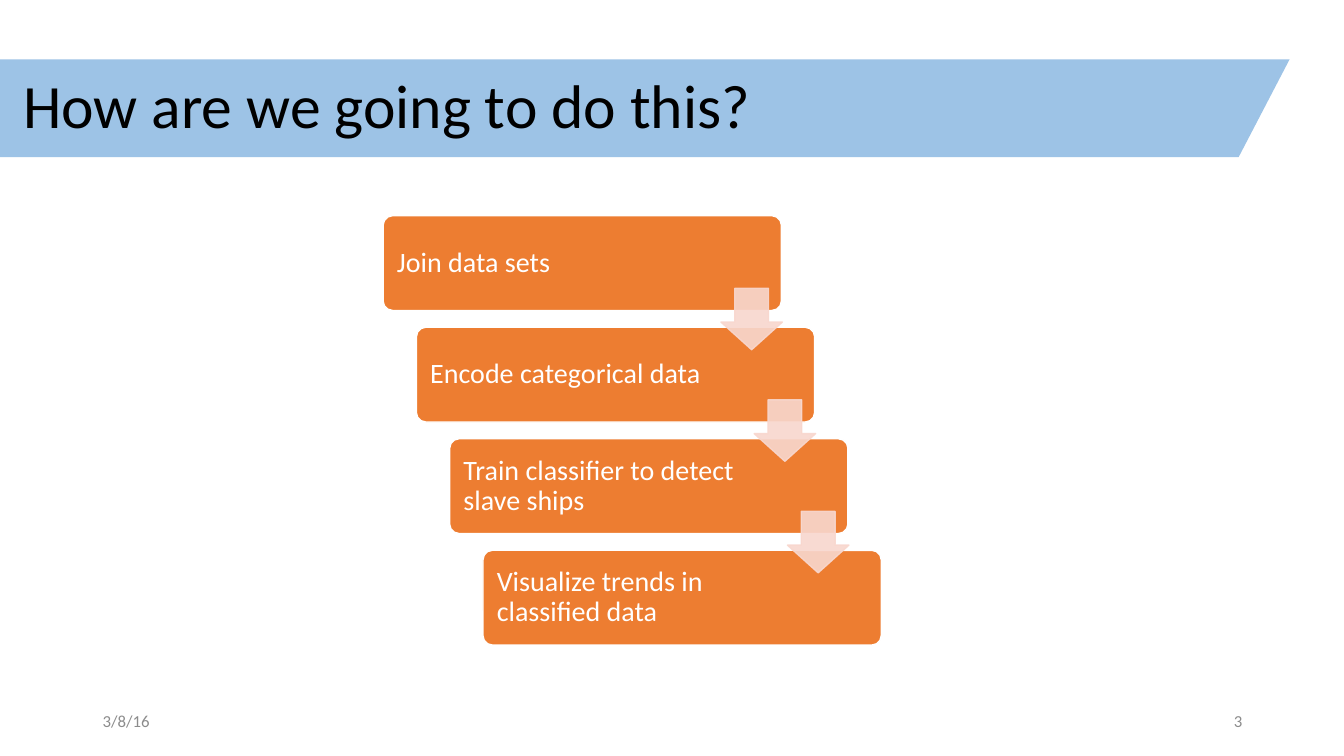
"""Build a slide that shows four project steps as a descending staircase."""
import pptx
import pptx.util
import pptx.dml.color
import pptx.enum.shapes
import pptx.enum.text
import pptx.oxml
import pptx.oxml.ns

Inches = pptx.util.Inches
RGBColor = pptx.dml.color.RGBColor
MSO_SHAPE = pptx.enum.shapes.MSO_SHAPE
PP_ALIGN = pptx.enum.text.PP_ALIGN

BLUE = RGBColor(0x9D, 0xC3, 0xE6)
ORANGE = RGBColor(0xED, 0x7D, 0x31)
PINK = RGBColor(0xF8, 0xD7, 0xCE)
GRAY = RGBColor(0x8C, 0x8C, 0x8C)
WHITE = RGBColor(0xFF, 0xFF, 0xFF)
BLACK = RGBColor(0x00, 0x00, 0x00)

STEPS = [
    "Join data sets",
    "Encode categorical data",
    "Train classifier to detect slave ships",
    "Visualize trends in classified data",
]


def write(shape, text, size, color, align=PP_ALIGN.LEFT, spacing=1.0):
    """Put one vertically centred paragraph into a shape."""
    frame = shape.text_frame
    frame.text = text
    frame.word_wrap = True
    frame.auto_size = pptx.enum.text.MSO_AUTO_SIZE.NONE
    frame.vertical_anchor = pptx.enum.text.MSO_ANCHOR.MIDDLE
    para = frame.paragraphs[0]
    para.alignment = align
    para.line_spacing = spacing
    font = para.runs[0].font
    font.name = "Calibri"
    font.size = pptx.util.Pt(size)
    font.color.rgb = color


def add_filled(page, kind, box, adjustments, fill, line=None):
    """Add a flat preset shape, outlined only when a line colour is given."""
    shape = page.shapes.add_shape(kind, *map(Inches, box))
    shape.shadow.inherit = False
    for index, value in enumerate(adjustments):
        shape.adjustments[index] = value
    shape.fill.solid()
    shape.fill.fore_color.rgb = fill
    if line is None:
        shape.line.fill.background()
    else:
        shape.line.color.rgb = line
        shape.line.width = pptx.util.Pt(1)
    return shape


def set_opacity(shape, percent):
    """Make the fill and outline of a shape partly transparent."""
    for color in shape.element.spPr.iter(pptx.oxml.ns.qn("a:srgbClr")):
        alpha = pptx.oxml.parse_xml(
            f'<a:alpha {pptx.oxml.ns.nsdecls("a")} val="{percent * 1000}"/>')
        color.append(alpha)


def add_heading(page, box, text):
    """Place the title on a slanted band that bleeds off the left edge."""
    left, top, width, height = box
    title = page.shapes.title
    title.left, title.top = Inches(left), Inches(top)
    title.width, title.height = Inches(width), Inches(height)
    write(title, text, 44, BLACK, spacing=0.9)
    band = add_filled(page, MSO_SHAPE.PARALLELOGRAM,
                      (left - 0.72, top, width + 1.88, height), [0.521], BLUE)
    title.element.addprevious(band.element)


def add_staircase(page, box, steps):
    """Descend through the steps inside a box, with arrows between them."""
    left, top, width, height = box
    step_width, step_height, arrow_size = 3.95, 0.94, 0.61
    shift = (width - step_width) / (len(steps) - 1)
    drop = (height - step_height) / (len(steps) - 1)
    for index, text in enumerate(steps):
        place = (left + index * shift, top + index * drop, step_width, step_height)
        step = add_filled(page, MSO_SHAPE.ROUNDED_RECTANGLE, place, [0.1], ORANGE, WHITE)
        write(step, text, 20, WHITE, spacing=0.9)
        step.text_frame.margin_left = Inches(0.11)
        step.text_frame.margin_right = Inches(1.04)
    for index in range(len(steps) - 1):
        place = (left + 3.35 + index * shift, top + 0.72 + index * drop,
                 arrow_size, arrow_size)
        arrow = add_filled(page, MSO_SHAPE.DOWN_ARROW, place, [0.55, 0.45], PINK, PINK)
        arrow.adjustments[0], arrow.adjustments[1] = 0.55, 0.45
        set_opacity(arrow, 90)


def add_footer(page, box, date, number):
    """Put the date at the left and the page number at the right of a box."""
    left, top, width, height = box
    part = 3
    for start, text, align in ((left, date, PP_ALIGN.LEFT),
                               (left + width - part, number, PP_ALIGN.RIGHT)):
        label = page.shapes.add_textbox(*map(Inches, (start, top, part, height)))
        write(label, text, 12, GRAY, align)


def main():
    """Assemble the slide and save the deck."""
    deck = pptx.Presentation()
    deck.slide_width, deck.slide_height = Inches(13.33), Inches(7.5)
    page = deck.slides.add_slide(deck.slide_layouts[5])
    add_heading(page, (0.13, 0.59, 11.5, 0.97), "How are we going to do this?")
    add_footer(page, (0.92, 6.95, 11.5, 0.4), "3/8/16", "3")
    add_staircase(page, (3.8, 2.14, 4.94, 4.26), STEPS)
    deck.save("out.pptx")


if __name__ == "__main__":
    main()
